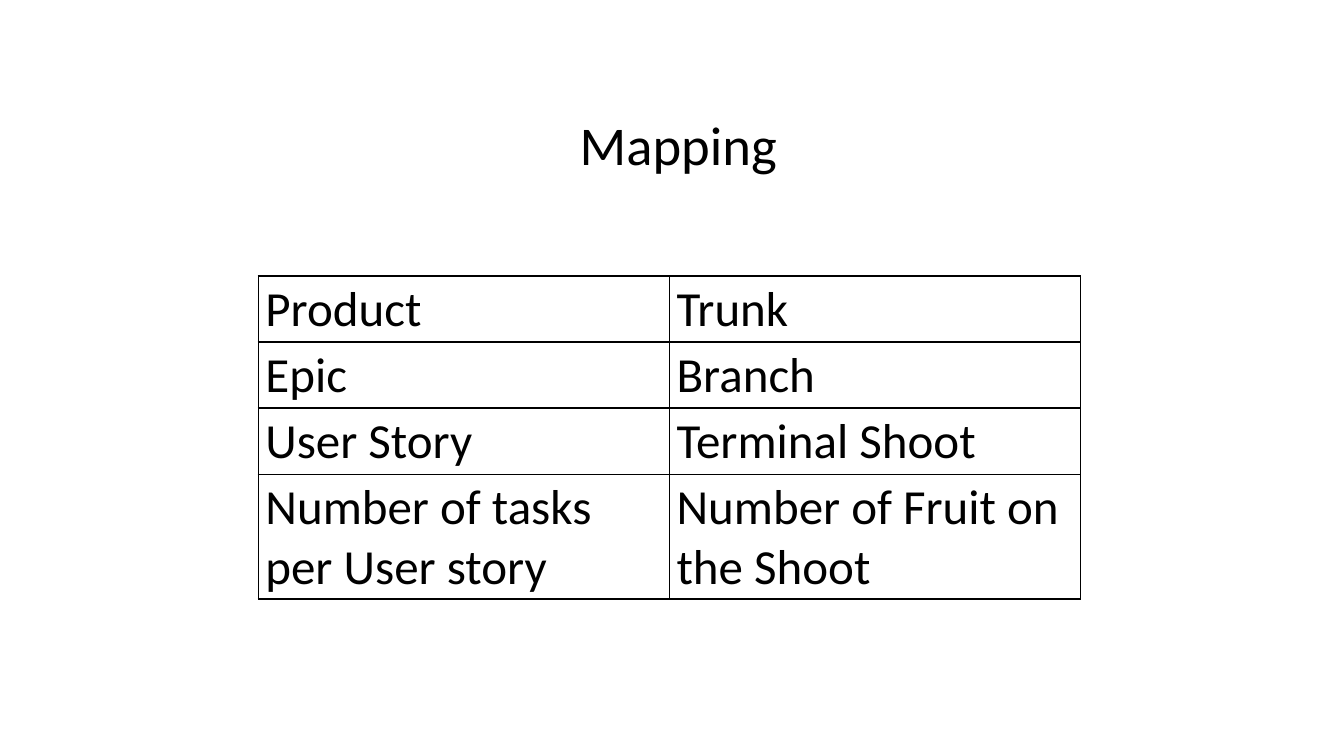
from dataclasses import dataclass

from lxml import etree
from pptx import Presentation
from pptx.dml.color import RGBColor
from pptx.enum.text import MSO_ANCHOR, PP_ALIGN
from pptx.oxml.ns import qn
from pptx.slide import Slide
from pptx.table import _Cell
from pptx.text.text import _Paragraph
from pptx.util import Pt

CENTER = PP_ALIGN.CENTER
LEFT = PP_ALIGN.LEFT
TOP = MSO_ANCHOR.TOP


@dataclass(frozen=True)
class Theme:
    font: str = "Calibri"
    ink: str = "000000"
    title_size: float = 39
    cell_size: float = 35
    border_width: float = 1


@dataclass(frozen=True)
class Box:
    left: float
    top: float
    width: float
    height: float


@dataclass(frozen=True)
class Pair:
    agile_term: str
    tree_part: str
    height: float = 46.8


THEME = Theme()
TITLE_BOX = Box(37.4, 75.6, 894.2, 54.7)
MAPPING_BOX = Box(184.4, 197.1, 587.5, 230.4)
PAIRS = (
    Pair("Product", "Trunk"),
    Pair("Epic", "Branch"),
    Pair("User Story", "Terminal Shoot"),
    Pair("Number of tasks per User story", "Number of Fruit on the Shoot", 88.6),
)
CELL_FORMAT = {
    "margin_left": Pt(5.2),
    "margin_right": Pt(5.2),
    "margin_top": Pt(2.6),
    "margin_bottom": Pt(2.6),
    "vertical_anchor": TOP,
}
TABLE_FORMAT = {"first_row": False, "horz_banding": False}


def apply_format(target: object, values: dict) -> None:
    for attribute, value in values.items():
        setattr(target, attribute, value)


def write_text(paragraph: _Paragraph, text: str, size: float, alignment: PP_ALIGN) -> None:
    paragraph.alignment = alignment
    run = paragraph.add_run()
    run.text = text
    apply_format(run.font, {"name": THEME.font, "size": Pt(size), "bold": False})
    run.font.color.rgb = RGBColor.from_string(THEME.ink)


def draw_borders(cell: _Cell) -> None:
    properties = cell._tc.get_or_add_tcPr()
    for position, side in enumerate(("lnL", "lnR", "lnT", "lnB")):
        border = etree.Element(qn(f"a:{side}"), w=str(Pt(THEME.border_width)))
        fill = etree.SubElement(border, qn("a:solidFill"))
        etree.SubElement(fill, qn("a:srgbClr"), val=THEME.ink)
        properties.insert(position, border)


def draw_title(slide: Slide, box: Box, text: str) -> None:
    title = slide.shapes.add_textbox(Pt(box.left), Pt(box.top), Pt(box.width), Pt(box.height))
    title.text_frame.word_wrap = True
    write_text(title.text_frame.paragraphs[0], text, THEME.title_size, CENTER)


def draw_mapping(slide: Slide, box: Box, pairs: tuple[Pair, ...]) -> None:
    mapping = slide.shapes.add_table(
        len(pairs), 2, Pt(box.left), Pt(box.top), Pt(box.width), Pt(box.height)
    ).table
    apply_format(mapping, TABLE_FORMAT)
    for row, pair in zip(mapping.rows, pairs):
        row.height = Pt(pair.height)
        for cell, term in zip(row.cells, (pair.agile_term, pair.tree_part)):
            apply_format(cell, CELL_FORMAT)
            cell.fill.background()
            draw_borders(cell)
            write_text(cell.text_frame.paragraphs[0], term, THEME.cell_size, LEFT)


def main() -> None:
    deck = Presentation()
    apply_format(deck, {"slide_width": Pt(960), "slide_height": Pt(540)})
    slide = deck.slides.add_slide(deck.slide_layouts[6])
    draw_title(slide, TITLE_BOX, "Mapping")
    draw_mapping(slide, MAPPING_BOX, PAIRS)
    deck.save("out.pptx")


if __name__ == "__main__":
    main()
